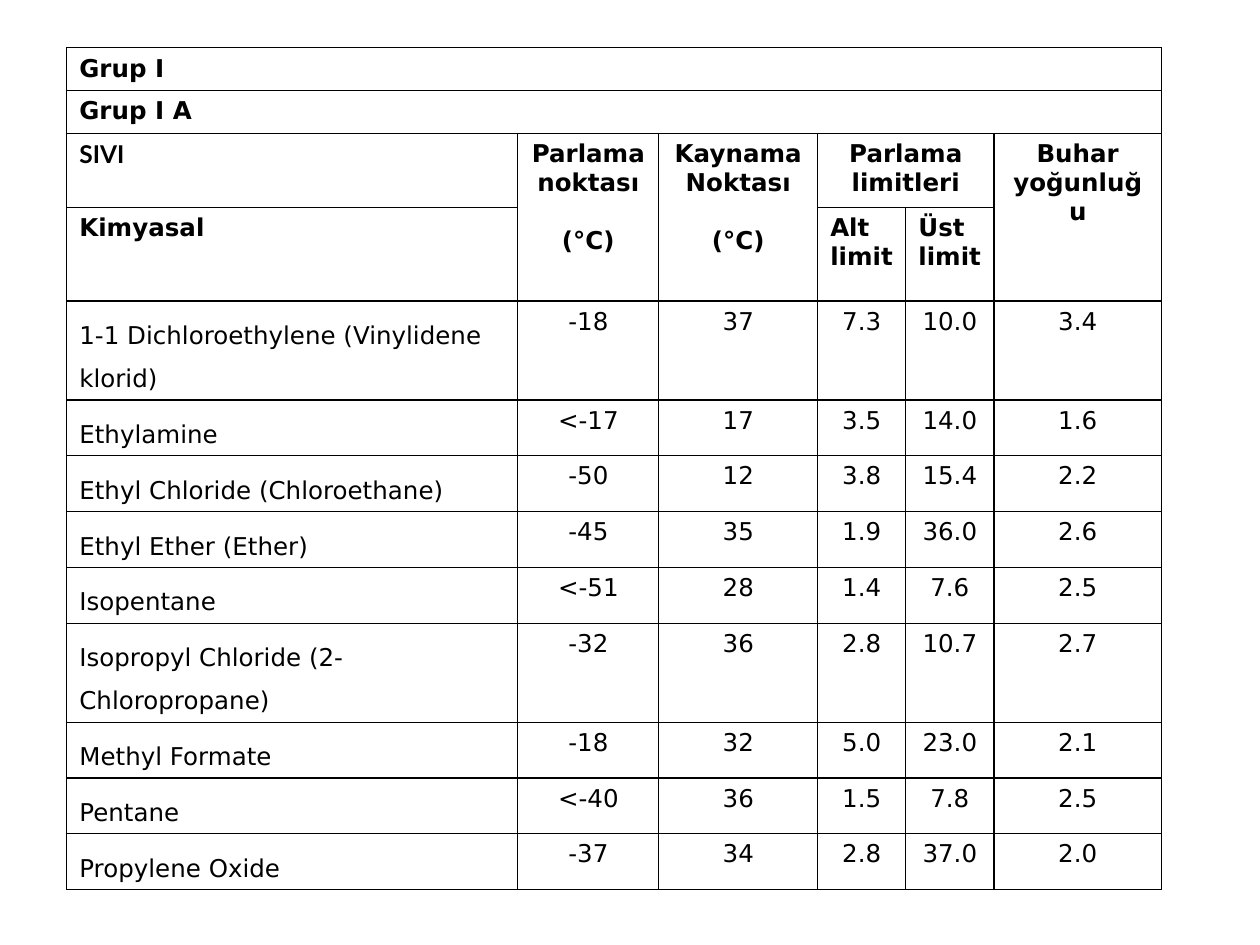
from lxml import etree
from pptx import Presentation
from pptx import util as u
from pptx.dml.color import RGBColor
from pptx.enum import text
from pptx.oxml.ns import qn

COLORS = {"ink": "000000"}
BODY_FONT, LIQUID_FONT = "DejaVu Sans", "Lato"
LEFT, CENTER = text.PP_ALIGN.LEFT, text.PP_ALIGN.CENTER

COLUMN_WIDTHS = [3.58, 1.12, 1.26, 0.7, 0.7, 1.33]
HEADER_HEIGHTS = [0.34, 0.34, 0.59, 0.74]
LIQUID_HEIGHT = 0.42

# (row, column): (row span, column span, alignment, font, paragraphs)
HEADERS = {
    (0, 0): (1, 6, LEFT, BODY_FONT, ["Grup I"]),
    (1, 0): (1, 6, LEFT, BODY_FONT, ["Grup I A"]),
    (2, 0): (1, 1, LEFT, LIQUID_FONT, ["SIVI"]),
    (3, 0): (1, 1, LEFT, BODY_FONT, ["Kimyasal"]),
    (2, 1): (2, 1, CENTER, BODY_FONT, ["Parlama noktası", "(°C)"]),
    (2, 2): (2, 1, CENTER, BODY_FONT, ["Kaynama Noktası", "(°C)"]),
    (2, 3): (1, 2, CENTER, BODY_FONT, ["Parlama limitleri"]),
    (3, 3): (1, 1, LEFT, BODY_FONT, ["Alt limit"]),
    (3, 4): (1, 1, LEFT, BODY_FONT, ["Üst limit"]),
    (2, 5): (2, 1, CENTER, BODY_FONT, ["Buhar yoğunluğu"]),
}

LIQUIDS = [
    ("1-1 Dichloroethylene (Vinylidene klorid)", "-18", "37", "7.3", "10.0", "3.4"),
    ("Ethylamine", "<-17", "17", "3.5", "14.0", "1.6"),
    ("Ethyl Chloride (Chloroethane)", "-50", "12", "3.8", "15.4", "2.2"),
    ("Ethyl Ether (Ether)", "-45", "35", "1.9", "36.0", "2.6"),
    ("Isopentane", "<-51", "28", "1.4", "7.6", "2.5"),
    ("Isopropyl Chloride (2-Chloropropane)", "-32", "36", "2.8", "10.7", "2.7"),
    ("Methyl Formate", "-18", "32", "5.0", "23.0", "2.1"),
    ("Pentane", "<-40", "36", "1.5", "7.8", "2.5"),
    ("Propylene Oxide", "-37", "34", "2.8", "37.0", "2.0"),
]


def outline_cell(cell):
    """Give a cell thin borders on all sides and no fill."""
    properties = cell._tc.get_or_add_tcPr()
    for side in ("a:lnL", "a:lnR", "a:lnT", "a:lnB"):
        border = etree.SubElement(properties, qn(side), w=str(u.Pt(0.75)))
        fill = etree.SubElement(border, qn("a:solidFill"))
        etree.SubElement(fill, qn("a:srgbClr"), val=COLORS["ink"])
    cell.fill.background()


def write_cell(cell, lines, alignment, line_spacing=None, **font_format):
    font_format = {"name": BODY_FONT, "size": u.Pt(14), "bold": False, **font_format}
    cell.text = "\n".join(lines)
    for index, paragraph in enumerate(cell.text_frame.paragraphs):
        paragraph.alignment = alignment
        if line_spacing:
            paragraph.line_spacing = line_spacing
        if index:
            paragraph.space_before = u.Pt(16.5)
        for run in paragraph.runs:
            for attribute, value in font_format.items():
                setattr(run.font, attribute, value)
            run.font.color.rgb = RGBColor.from_string(COLORS["ink"])


def add_liquids_table(slide, left, top, width, height):
    row_heights = HEADER_HEIGHTS + [LIQUID_HEIGHT] * len(LIQUIDS)
    table = slide.shapes.add_table(
        len(row_heights), len(COLUMN_WIDTHS), left, top, width, height).table
    table.first_row = table.horz_banding = False

    # Grid, scaled to the given box
    for column, share in zip(table.columns, COLUMN_WIDTHS):
        column.width = int(width * share / sum(COLUMN_WIDTHS))
    for row, share in zip(table.rows, row_heights):
        row.height = int(height * share / sum(row_heights))
    for cell in table.iter_cells():
        outline_cell(cell)

    # Group and column headings
    for (row, column), (rows, columns, alignment, font, lines) in HEADERS.items():
        cell = table.cell(row, column)
        if rows * columns > 1:
            cell.merge(table.cell(row + rows - 1, column + columns - 1))
        write_cell(cell, lines, alignment, name=font, bold=True)

    # One row for each liquid
    for row, (liquid, *measures) in enumerate(LIQUIDS, len(HEADER_HEIGHTS)):
        write_cell(table.cell(row, 0), [liquid], LEFT, line_spacing=1.5)
        for column, measure in enumerate(measures, 1):
            write_cell(table.cell(row, column), [measure], CENTER)


def main():
    presentation = Presentation()
    presentation.slide_width = u.Inches(10)
    presentation.slide_height = u.Inches(7.5)
    slide = presentation.slides.add_slide(presentation.slide_layouts[6])
    add_liquids_table(slide, u.Inches(0.53), u.Inches(0.38),
                      u.Inches(sum(COLUMN_WIDTHS)),
                      u.Inches(sum(HEADER_HEIGHTS) + LIQUID_HEIGHT * len(LIQUIDS)))
    presentation.save("out.pptx")


if __name__ == "__main__":
    main()
